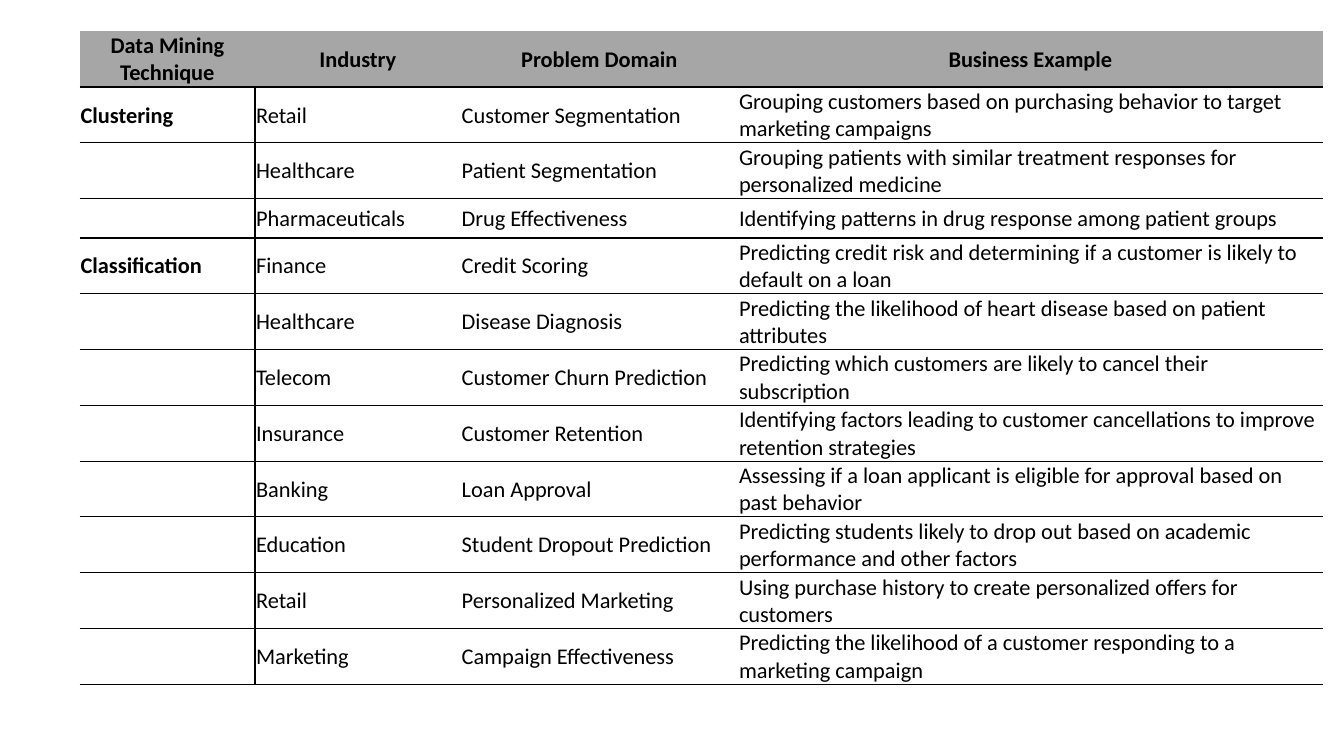
import pptx
import pptx.util
import pptx.dml.color
import pptx.enum.text
import lxml.etree

HEAD = ["Data Mining Technique", "Industry", "Problem Domain", "Business Example"]
GROUPS = {
    "Clustering": [
        ("Retail", "Customer Segmentation",
         "Grouping customers based on purchasing behavior to target marketing campaigns"),
        ("Healthcare", "Patient Segmentation",
         "Grouping patients with similar treatment responses for personalized medicine"),
        ("Pharmaceuticals", "Drug Effectiveness",
         "Identifying patterns in drug response among patient groups"),
    ],
    "Classification": [
        ("Finance", "Credit Scoring",
         "Predicting credit risk and determining if a customer is likely to default on a loan"),
        ("Healthcare", "Disease Diagnosis",
         "Predicting the likelihood of heart disease based on patient attributes"),
        ("Telecom", "Customer Churn Prediction",
         "Predicting which customers are likely to cancel their subscription"),
        ("Insurance", "Customer Retention",
         "Identifying factors leading to customer cancellations to improve retention strategies"),
        ("Banking", "Loan Approval",
         "Assessing if a loan applicant is eligible for approval based on past behavior"),
        ("Education", "Student Dropout Prediction",
         "Predicting students likely to drop out based on academic performance and other factors"),
        ("Retail", "Personalized Marketing",
         "Using purchase history to create personalized offers for customers"),
        ("Marketing", "Campaign Effectiveness",
         "Predicting the likelihood of a customer responding to a marketing campaign"),
    ],
}
WIDTHS = [1.74, 2.04, 2.75, 5.8]
LEFT, TOP, TALL, ROW = 0.79, 0.31, 6.33, 0.39
THEME = {"font": "Calibri", "size": 16, "ink": "000000", "head": "A6A6A6", "line": 1}

Inches = pptx.util.Inches
Color = pptx.dml.color.RGBColor.from_string
Align = pptx.enum.text.PP_ALIGN
NS = "{http://schemas.openxmlformats.org/drawingml/2006/main}"


def edge(cell, side, shown):
    props = cell._tc.get_or_add_tcPr()
    line = lxml.etree.SubElement(props, NS + "ln" + side)
    if shown:
        line.set("w", str(pptx.util.Pt(THEME["line"])))
        fill = lxml.etree.SubElement(line, NS + "solidFill")
        lxml.etree.SubElement(fill, NS + "srgbClr", val=THEME["ink"])
    else:
        line.set("w", "0")
        lxml.etree.SubElement(line, NS + "noFill")


def write(cell, text, bold, align):
    para = cell.text_frame.paragraphs[0]
    para.alignment = align
    if text:
        run = para.add_run()
        run.text = text
        run.font.name = THEME["font"]
        run.font.size = pptx.util.Pt(THEME["size"])
        run.font.bold = bold
        run.font.color.rgb = Color(THEME["ink"])


def style(cell, row, col):
    body = row > 0
    cell.vertical_anchor = pptx.enum.text.MSO_ANCHOR.MIDDLE
    cell.margin_left = cell.margin_right = cell.margin_top = Inches(0.01)
    cell.margin_bottom = 0
    shown = {"L": body and col == 1, "R": body and col == 0, "T": body, "B": True}
    for side, seen in shown.items():
        edge(cell, side, seen)
    if body:
        cell.fill.background()
    else:
        cell.fill.solid()
        cell.fill.fore_color.rgb = Color(THEME["head"])


def main():
    rows = [HEAD]
    for name, items in GROUPS.items():
        for num, item in enumerate(items):
            rows.append(["" if num else name, *item])

    deck = pptx.Presentation()
    deck.slide_width, deck.slide_height = Inches(13.33), Inches(7.5)
    slide = deck.slides.add_slide(deck.slide_layouts[6])
    frame = slide.shapes.add_table(len(rows), len(HEAD), Inches(LEFT), Inches(TOP),
                                   Inches(sum(WIDTHS)), Inches(TALL))
    table = frame.table
    table.horz_banding = False
    table.first_row = False
    for col, width in enumerate(WIDTHS):
        table.columns[col].width = Inches(width)
    for row, texts in enumerate(rows):
        table.rows[row].height = Inches(ROW)
        for col, text in enumerate(texts):
            cell = table.cell(row, col)
            style(cell, row, col)
            write(cell, text, row == 0 or col == 0,
                  Align.LEFT if row else Align.CENTER)
    frame.height = Inches(TALL)
    deck.save("out.pptx")


if __name__ == "__main__":
    main()
